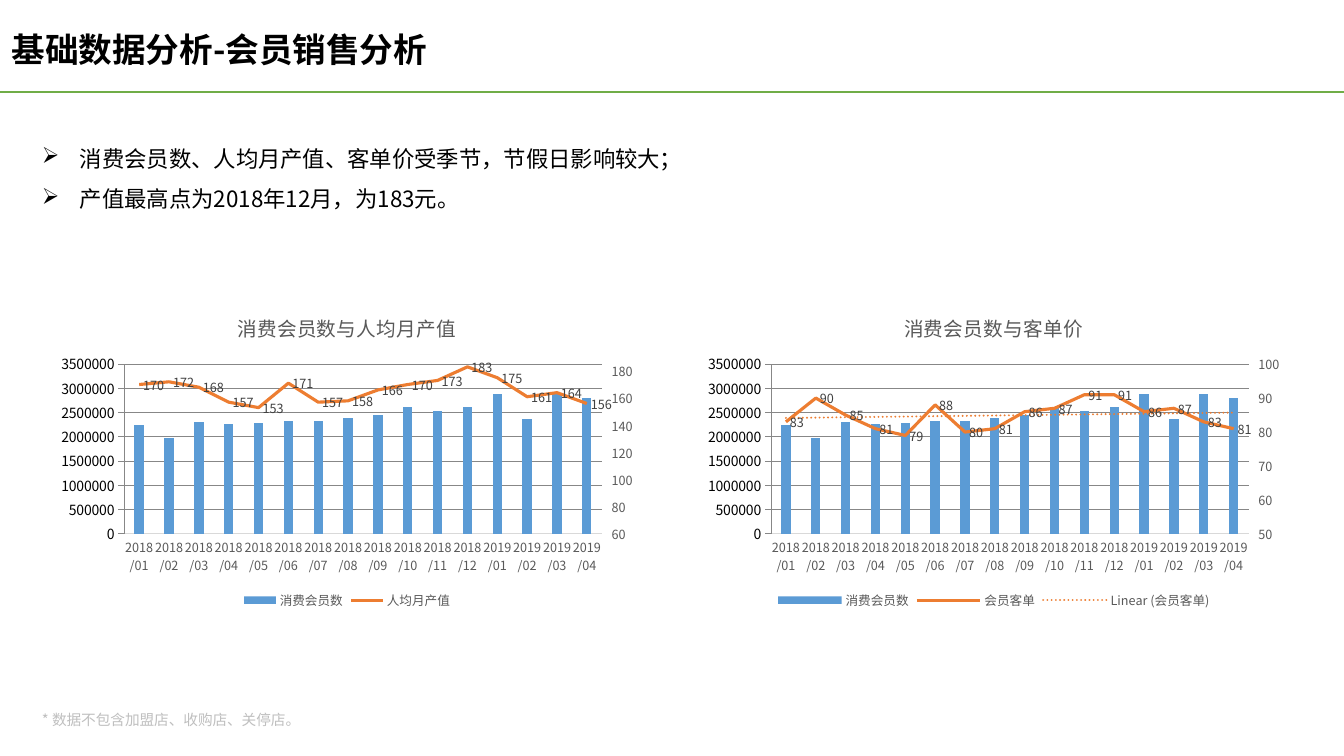
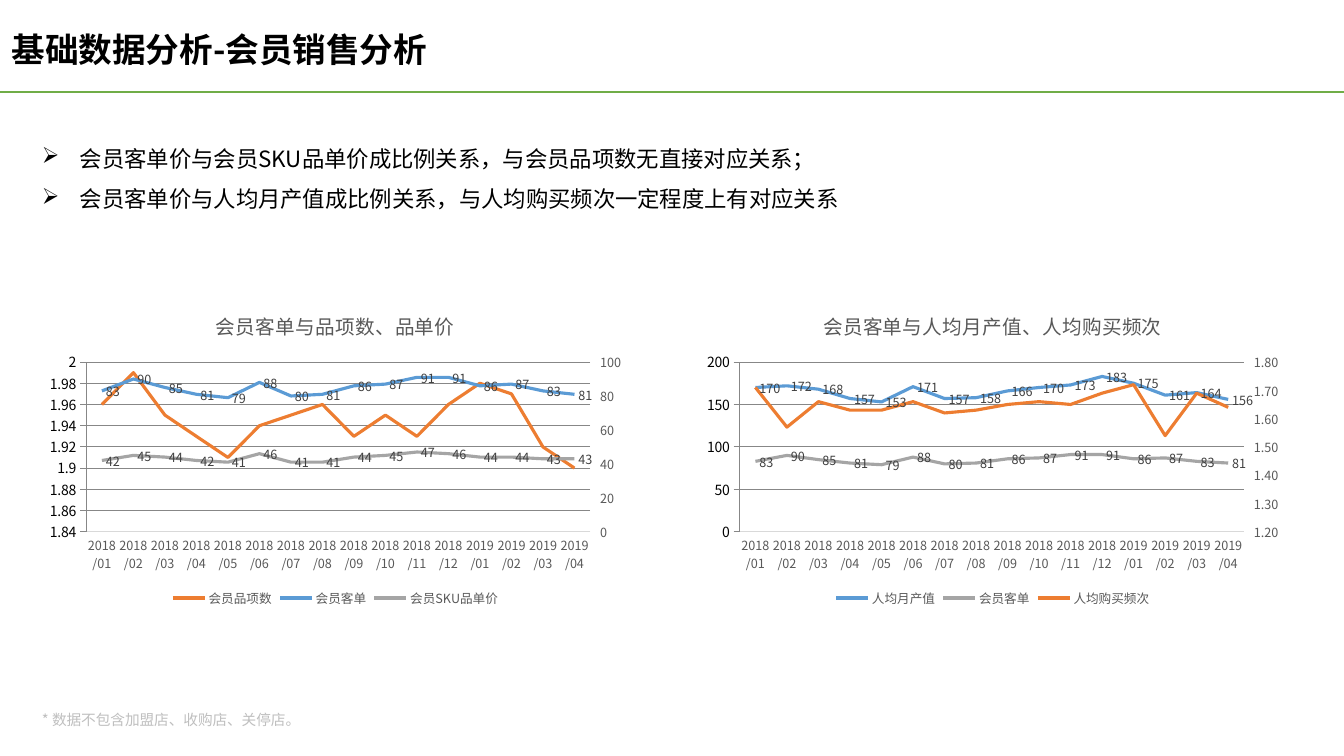
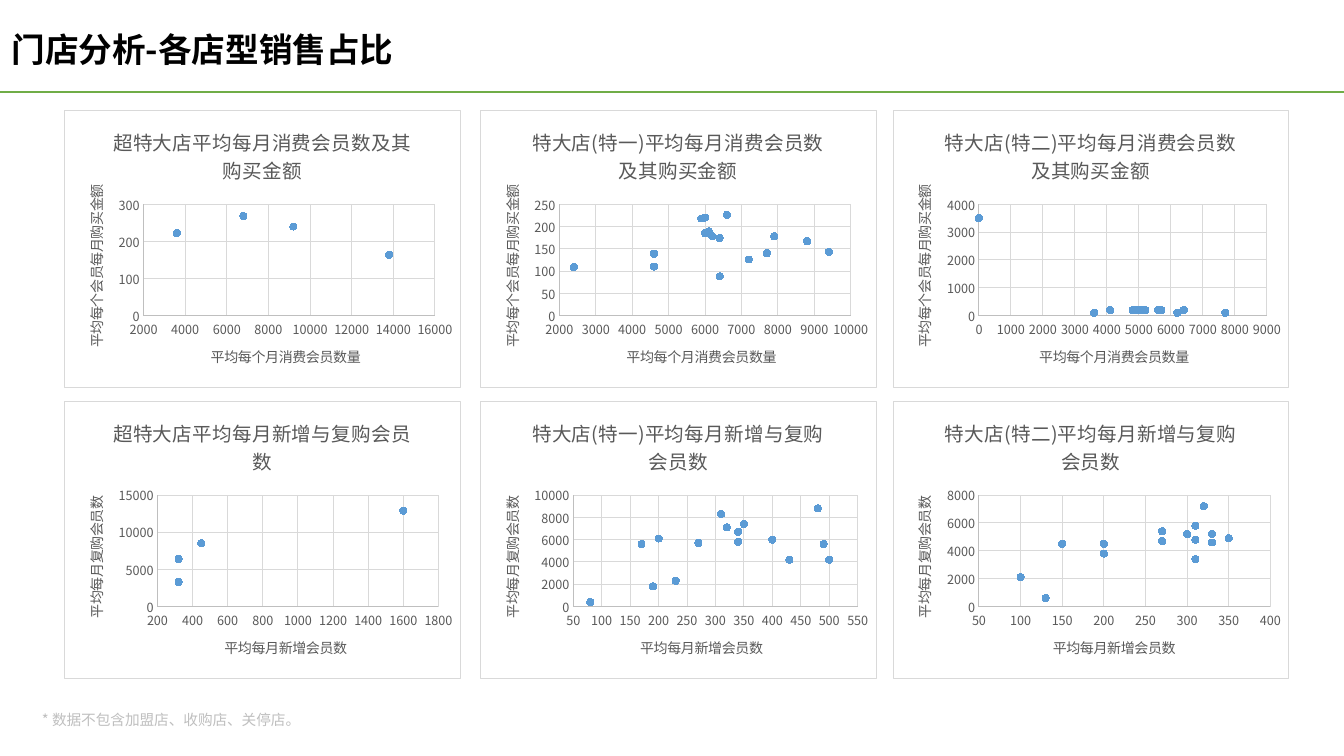
from pptx import Presentation
from pptx.chart.axis import ValueAxis
from pptx.chart.data import CategoryChartData, XyChartData
from pptx.dml.color import RGBColor
from pptx.enum import chart as charts, shapes, text
from pptx.oxml import parse_xml
from pptx.oxml.ns import nsdecls, qn
from pptx.util import Pt

PX = 9525
FONT = "Noto Sans CJK SC"
BLACK = RGBColor(0x00, 0x00, 0x00)
GREEN = RGBColor(0x70, 0xAD, 0x47)
BLUE = RGBColor(0x5B, 0x9B, 0xD5)
ORANGE = RGBColor(0xED, 0x7D, 0x31)
GRAY = RGBColor(0xA5, 0xA5, 0xA5)
LABEL = RGBColor(0x40, 0x40, 0x40)
CAPTION = RGBColor(0x59, 0x59, 0x59)
PALE = RGBColor(0xBF, 0xBF, 0xBF)
GRID = RGBColor(0xD9, 0xD9, 0xD9)
NO_TICK = charts.XL_TICK_MARK.NONE
COLUMN = charts.XL_CHART_TYPE.COLUMN_CLUSTERED
LINE = charts.XL_CHART_TYPE.LINE

FOOTNOTE = "* 数据不包含加盟店、收购店、关停店。"
SALES = "基础数据分析-会员销售分析"
PAGES = [
    (SALES, ["消费会员数、人均月产值、客单价受季节，节假日影响较大；",
             "产值最高点为2018年12月，为183元。"]),
    (SALES, ["会员客单价与会员SKU品单价成比例关系，与会员品项数无直接对应关系；",
             "会员客单价与人均月产值成比例关系，与人均购买频次一定程度上有对应关系"]),
    ("门店分析-各店型销售占比", []),
]

MONTHS = [f"2018/{m:02}" for m in range(1, 13)] + [f"2019/{m:02}" for m in range(1, 5)]
MEMBERS = [2250000, 1980000, 2300000, 2260000, 2280000, 2330000, 2320000, 2380000,
           2460000, 2610000, 2540000, 2620000, 2890000, 2370000, 2890000, 2810000]
OUTPUT = [170, 172, 168, 157, 153, 171, 157, 158, 166, 170, 173, 183, 175, 161, 164, 156]
TICKET = [83, 90, 85, 81, 79, 88, 80, 81, 86, 87, 91, 91, 86, 87, 83, 81]
ITEMS = [1.96, 1.99, 1.95, 1.93, 1.91, 1.94, 1.95, 1.96,
         1.93, 1.95, 1.93, 1.96, 1.98, 1.97, 1.92, 1.9]
SKU_PRICE = [42, 45, 44, 42, 41, 46, 41, 41, 44, 45, 47, 46, 44, 44, 43, 43]
FREQUENCY = [1.71, 1.57, 1.66, 1.63, 1.63, 1.66, 1.62, 1.63,
             1.65, 1.66, 1.65, 1.69, 1.72, 1.54, 1.69, 1.64]

# page, left, top, kind, title, (left min, max, format), (right min, max, format), trend,
# left series, right series; a series is name, values, colour, labelled
COMBOS = [
    (0, 47, 282, COLUMN, "消费会员数与人均月产值", (None, None, "#,##0"), (60, 185, "General"), False,
     [("消费会员数", MEMBERS, BLUE, False)], [("人均月产值", OUTPUT, ORANGE, True)]),
    (0, 663, 282, COLUMN, "消费会员数与客单价", (None, None, "#,##0"), (50, 100, "General"), True,
     [("消费会员数", MEMBERS, BLUE, False)], [("会员客单", TICKET, ORANGE, True)]),
    (1, 36, 280, LINE, "会员客单与品项数、品单价", (1.5, None, "0.00_ "), (None, None, "General"), False,
     [("会员品项数", ITEMS, ORANGE, False)],
     [("会员客单", TICKET, BLUE, True), ("会员SKU品单价", SKU_PRICE, GRAY, True)]),
    (1, 662, 280, LINE, "会员客单与人均月产值、人均购买频次", (40, 185, "0_ "), (1.2, None, "0.00"), False,
     [("人均月产值", OUTPUT, BLUE, True), ("会员客单", TICKET, GRAY, True)],
     [("人均购买频次", FREQUENCY, ORANGE, False)]),
]

# title ending, x title, y title
SPENDING = ("平均每月消费会员数及其购买金额", "平均每个月消费会员数量", "平均每个会员每月购买金额")
REPEAT = ("平均每月新增与复购会员数", "平均每月新增会员数", "平均每月复购会员数")
STORES = [
    (61, "超特大店",
     [6800, 13800, 3600, 9200], [268, 164, 222, 240],
     [320, 1600, 320, 450], [6400, 12900, 3300, 8500]),
    (457, "特大店(特一)",
     [6000, 6100, 6000, 7900, 6200, 8800, 6400, 4600,
      2400, 9400, 7700, 7200, 4600, 6600, 6400, 5900],
     [185, 189, 220, 178, 178, 167, 88, 139, 109, 143, 140, 126, 110, 226, 174, 218],
     [170, 270, 490, 350, 340, 310, 400, 430, 230, 480, 320, 340, 500, 200, 80, 190],
     [5600, 5700, 5600, 7400, 5800, 8300, 6000, 4200,
      2300, 8800, 7100, 6700, 4200, 6100, 400, 1800]),
    (850, "特大店(特二)",
     [4800, 7700, 4900, 5000, 4100, 4900, 5200, 5700, 5100, 3600, 6200, 5600, 5600, 6400, 0],
     [200, 100, 200, 200, 200, 200, 200, 200, 200, 100, 100, 200, 200, 200, 3500],
     [200, 320, 150, 270, 200, 330, 350, 270, 310, 310, 310, 300, 330, 100, 130],
     [4500, 7200, 4500, 4700, 3800, 4600, 4900, 5400, 4800, 3400, 5800, 5200, 5200, 2100, 600]),
]

RIGHT_AXES = f"""<c:plotArea {nsdecls("c")}>
<c:lineChart><c:grouping val="standard"/><c:varyColors val="0"/>
<c:marker val="1"/><c:axId val="501"/><c:axId val="502"/></c:lineChart>
<c:catAx><c:axId val="501"/><c:scaling><c:orientation val="minMax"/></c:scaling>
<c:delete val="1"/><c:axPos val="b"/><c:crossAx val="502"/><c:crosses val="autoZero"/></c:catAx>
<c:valAx><c:axId val="502"/><c:scaling><c:orientation val="minMax"/></c:scaling>
<c:delete val="0"/><c:axPos val="r"/><c:tickLblPos val="nextTo"/>
<c:crossAx val="501"/><c:crosses val="max"/></c:valAx></c:plotArea>"""
TREND = f"""<c:trendline {nsdecls("c", "a")}><c:spPr><a:ln w="19050" cap="rnd">
<a:solidFill><a:srgbClr val="{ORANGE}"/></a:solidFill><a:prstDash val="sysDot"/></a:ln></c:spPr>
<c:trendlineType val="linear"/><c:dispRSqr val="0"/><c:dispEq val="0"/></c:trendline>"""


def write(frame, lines, size, color, spacing, bold=False):
    for i, line in enumerate(lines):
        paragraph = frame.add_paragraph() if i else frame.paragraphs[0]
        paragraph.line_spacing = spacing
        run = paragraph.add_run()
        run.text = line
        run.font.name, run.font.size, run.font.bold = FONT, Pt(size), bold
        run.font.color.rgb = color


def style_chart(chart, title, axes, border):
    """Set title, fonts and frame; axes holds (axis, line colour, has grid)."""
    chart.font.name, chart.font.size = FONT, Pt(10)
    chart.has_title = True
    write(chart.chart_title.text_frame, [title], 14, CAPTION, 1.0)
    chart.chart_title.include_in_layout = False
    for axis, line, has_grid in axes:
        axis.major_tick_mark = axis.minor_tick_mark = NO_TICK
        font = axis.tick_labels.font
        font.name, font.size, font.color.rgb = FONT, Pt(9), CAPTION
        if line is None:
            axis.format.line.fill.background()
        else:
            axis.format.line.color.rgb, axis.format.line.width = line, Pt(0.75)
        axis.has_major_gridlines = has_grid
        if has_grid:
            grid = axis.major_gridlines.format.line
            grid.color.rgb, grid.width = GRID, Pt(0.75)
    fill = f'<a:solidFill><a:srgbClr val="{GRID}"/></a:solidFill>' if border else "<a:noFill/>"
    chart.element.find(qn("c:chart")).addnext(parse_xml(
        f'<c:spPr {nsdecls("c", "a")}><a:noFill/><a:ln w="9525">{fill}</a:ln></c:spPr>'))


deck = Presentation()
deck.slide_width, deck.slide_height = 1280 * PX, 720 * PX

# Headings, rules, bullets and footnotes
for heading, points in PAGES:
    slide = deck.slides.add_slide(deck.slide_layouts[6])
    rule = slide.shapes.add_connector(shapes.MSO_CONNECTOR.STRAIGHT, 0, 88 * PX, 1280 * PX, 88 * PX)
    rule.line.color.rgb, rule.line.width = GREEN, Pt(1.5)
    rule.element.spPr.append(parse_xml(f'<a:effectLst {nsdecls("a")}/>'))
    for lines, box, size, color, spacing, bold in [
        ([heading], (11, 32, 604, 35), 24, BLACK, 0.9, True),
        (points, (40, 125, 1197, 78), 16, BLACK, 1.5, False),
        ([FOOTNOTE], (40, 679, 251, 15), 10.5, PALE, 0.9, False),
    ]:
        if not lines:
            continue
        textbox = slide.shapes.add_textbox(*(n * PX for n in box))
        frame = textbox.text_frame
        frame.margin_left = frame.margin_top = frame.margin_right = frame.margin_bottom = 0
        frame.word_wrap = lines != [FOOTNOTE]
        write(frame, lines, size, color, spacing, bold)
        if lines is points:
            frame.vertical_anchor = text.MSO_ANCHOR.MIDDLE
            for props in textbox.element.iter(qn("a:pPr")):
                props.set("marL", str(36 * PX))
                props.set("indent", str(-36 * PX))
                props.append(parse_xml(f'<a:buChar {nsdecls("a")} char="➢"/>'))

# Monthly charts with two value axes
for page, left, top, kind, title, left_scale, right_scale, trend, left_series, right_series in COMBOS:
    data = CategoryChartData()
    data.categories = MONTHS
    for name, values, _, _ in left_series + right_series:
        data.add_series(name, values)
    chart = deck.slides[page].shapes.add_chart(
        kind, left * PX, top * PX, 567 * PX, 302 * PX, data).chart

    plot_area = chart.element.find(".//" + qn("c:plotArea"))
    base = plot_area.find(qn("c:barChart" if kind == COLUMN else "c:lineChart"))
    right_plot, hidden_axis, right_axis = parse_xml(RIGHT_AXES)
    base.addnext(right_plot)
    plot_area.findall(qn("c:valAx"))[-1].addnext(hidden_axis)
    hidden_axis.addnext(right_axis)
    for ser in base.findall(qn("c:ser"))[len(left_series):]:
        for flag in ser.findall(qn("c:invertIfNegative")):
            ser.remove(flag)
        right_plot.find(qn("c:marker")).addprevious(ser)

    right = ValueAxis(right_axis)
    style_chart(chart, title, [(chart.category_axis, GRID, False),
                               (chart.value_axis, None, True), (right, None, False)], False)
    right.major_tick_mark = charts.XL_TICK_MARK.OUTSIDE
    for axis, (low, high, number_format) in [(chart.value_axis, left_scale), (right, right_scale)]:
        axis.minimum_scale, axis.maximum_scale = low, high
        axis.tick_labels.number_format = number_format
        axis.tick_labels.number_format_is_linked = False

    for plot, plotted in zip(chart.plots, (left_series, right_series)):
        plot.vary_by_categories = False
        for series, (_, _, color, labelled) in zip(plot.series, plotted):
            if kind == COLUMN and plotted is left_series:
                plot.gap_width, plot.overlap = 219, -27
                series.format.fill.solid()
                series.format.fill.fore_color.rgb = color
                continue
            series.smooth = False
            series.marker.style = charts.XL_MARKER_STYLE.NONE
            series.format.line.color.rgb, series.format.line.width = color, Pt(2.25)
            if labelled:
                labels = series.data_labels
                labels.show_value = True
                labels.position = charts.XL_LABEL_POSITION.RIGHT
                labels.number_format, labels.number_format_is_linked = "0_ ", False
                labels.font.name, labels.font.size = FONT, Pt(9)
                labels.font.color.rgb = LABEL
    if trend:
        right_plot.find(qn("c:ser")).find(qn("c:cat")).addprevious(parse_xml(TREND))

    chart.has_legend = True
    legend = chart.legend
    legend.position = charts.XL_LEGEND_POSITION.BOTTOM
    legend.include_in_layout = False
    legend.font.name, legend.font.size, legend.font.color.rgb = FONT, Pt(9), CAPTION

# Store scatter charts: spending above, repeat purchases below
for left, store, buyers, amounts, newcomers, returners in STORES:
    for top, (ending, x_title, y_title), xs, ys in [
        (105, SPENDING, buyers, amounts), (382, REPEAT, newcomers, returners),
    ]:
        data = XyChartData()
        points = data.add_series("Series 1")
        for x, y in zip(xs, ys):
            points.add_data_point(x, y)
        chart = deck.slides[2].shapes.add_chart(
            charts.XL_CHART_TYPE.XY_SCATTER, left * PX, top * PX, 378 * PX, 265 * PX, data).chart
        chart.has_legend = False
        style_chart(chart, store + ending, [(chart.category_axis, PALE, True),
                                            (chart.value_axis, PALE, True)], True)
        for axis, name in [(chart.category_axis, x_title), (chart.value_axis, y_title)]:
            write(axis.axis_title.text_frame, [name], 10, CAPTION, 1.0)
        chart.value_axis.axis_title.element.find(".//" + qn("a:bodyPr")).set("rot", "-5400000")
        chart.plots[0].vary_by_categories = False
        series = chart.plots[0].series[0]
        series.format.line.fill.background()
        series.marker.style, series.marker.size = charts.XL_MARKER_STYLE.CIRCLE, 5
        series.marker.format.fill.solid()
        series.marker.format.fill.fore_color.rgb = BLUE
        series.marker.format.line.color.rgb = BLUE

# Chinese characters take the same font as Latin ones
for slide in deck.slides:
    for root in [slide.element] + [s.chart.element for s in slide.shapes if s.has_chart]:
        for latin in list(root.iter(qn("a:latin"))):
            latin.addnext(parse_xml(f'<a:ea {nsdecls("a")} typeface="{FONT}"/>'))

deck.save("out.pptx")
